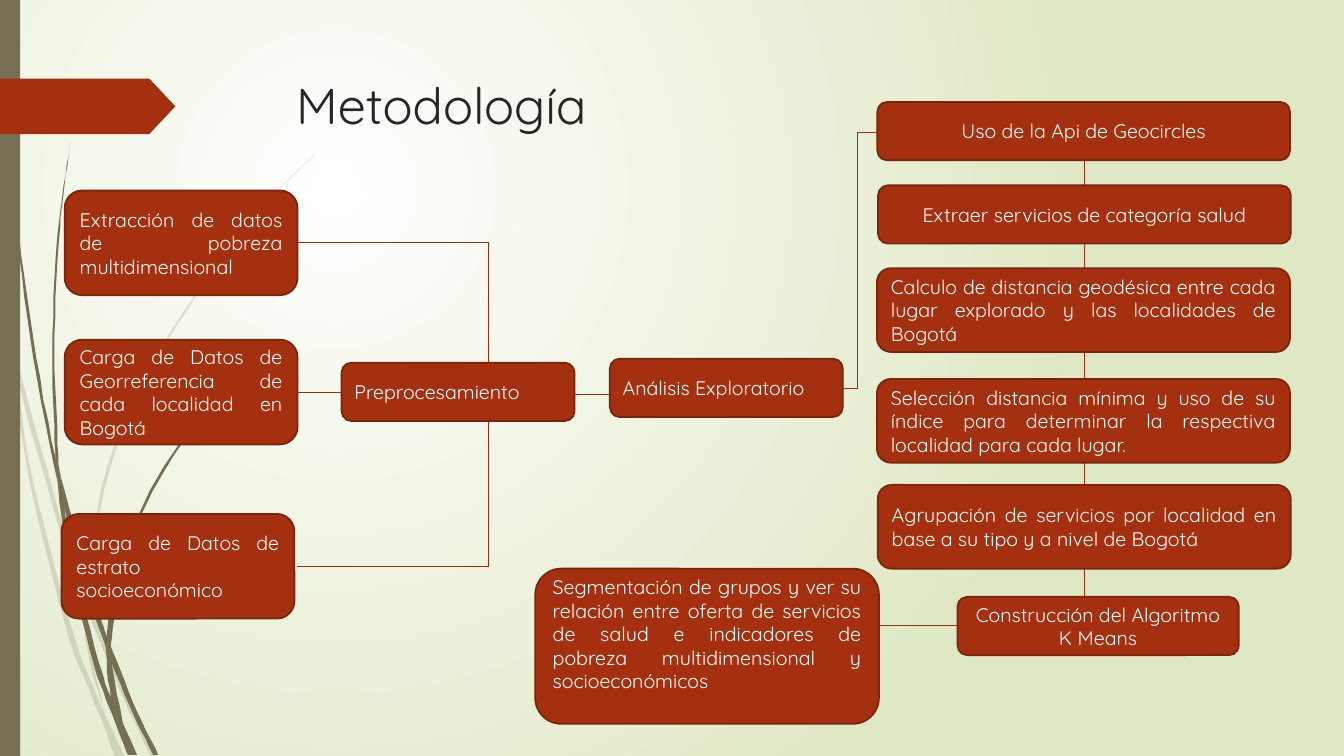
from dataclasses import dataclass
from itertools import pairwise

from lxml import etree
from pptx import Presentation
from pptx.dml.color import RGBColor
from pptx.enum import shapes, text
from pptx.oxml import ns
from pptx.util import Cm, Pt


@dataclass(frozen=True)
class Theme:
    font: str = "Quicksand"
    title_size: int = 36
    box_size: int = 14
    title: str = "262626"
    box_text: str = "FFFFFF"
    box: str = "A53010"
    box_edge: str = "7A240C"
    link: str = "9E2E0F"
    grass: str = "766F54"
    glow: str = "FFFFFF"
    ground: str = "DFE8C4"


THEME = Theme()
JUSTIFY, CENTER = text.PP_ALIGN.JUSTIFY, text.PP_ALIGN.CENTER

# Grass blades: both edges, from tip to root, in hundredths of an inch
PALE_BLADES = [
    ([(0, 299), (17, 376), (58, 522), (84, 599), (88, 610), (123, 694), (150, 751)],
     [(0, 282), (14, 345), (62, 520), (85, 586), (92, 607), (127, 692), (155, 751)]),
    ([(11, 350), (28, 470), (65, 621), (92, 693), (101, 714), (114, 751)],
     [(17, 376), (31, 469), (70, 619), (93, 683), (105, 711), (124, 751)]),
    ([(312, 153), (268, 197), (228, 244), (158, 348), (107, 461), (85, 584), (87, 646), (105, 711)],
     [(312, 154), (268, 198), (229, 245), (160, 349), (110, 462), (88, 584), (91, 646), (105, 711)]),
]
DARK_BLADES = [
    ([(3, 0), (7, 110), (17, 233), (33, 355), (57, 477)],
     [(4, 0), (8, 109), (19, 232), (36, 355), (57, 465)]),
    ([(55, 449), (57, 477), (68, 557), (93, 659), (111, 708), (127, 749)],
     [(60, 472), (64, 505), (72, 556), (98, 657), (110, 691), (136, 749)]),
    ([(60, 472), (64, 505), (88, 592), (106, 645), (132, 708), (152, 749)],
     [(60, 472), (93, 590), (106, 631), (113, 649), (136, 706), (157, 749)]),
    ([(70, 141), (62, 193), (56, 245), (52, 349), (55, 449), (60, 472)],
     [(70, 141), (63, 193), (58, 245), (54, 349), (58, 453), (60, 472)]),
    ([(260, 344), (231, 373), (204, 405), (156, 474), (122, 551), (106, 631), (110, 691), (122, 719)],
     [(261, 344), (231, 374), (205, 406), (158, 476), (125, 552), (111, 633), (111, 656), (122, 719)]),
]

# Boxes: left, top, width, height in cm
SOURCES = [
    ("Extracción de datos de pobreza multidimensional", 1.63, 4.8),
    ("Carga de Datos de Georreferencia de cada localidad en Bogotá", 1.63, 8.56),
    ("Carga de Datos de estrato socioeconómico", 1.55, 12.95),
]
STEPS = [
    ("Uso de la Api de Geocircles", (22.11, 2.57, 10.4, 1.47), CENTER),
    ("Extraer servicios de categoría salud", (22.13, 4.67, 10.4, 1.47), CENTER),
    ("Calculo de distancia geodésica entre cada lugar explorado y las localidades de Bogotá",
     (22.1, 6.76, 10.41, 2.11), JUSTIFY),
    ("Selección distancia mínima y uso de su índice para determinar la respectiva "
     "localidad para cada lugar.", (22.1, 9.55, 10.41, 2.11), JUSTIFY),
    ("Agrupación de servicios por localidad en base a su tipo y a nivel de Bogotá",
     (22.12, 12.22, 10.41, 2.11), JUSTIFY),
    ("Construcción del Algoritmo K Means", (24.13, 15.04, 7.09, 1.47), CENTER),
]


def rgb(code):
    return RGBColor.from_string(code)


def paint(shape, color, opacity=100):
    shape.shadow.inherit = False
    shape.fill.solid()
    shape.fill.fore_color.rgb = rgb(color)
    shape.line.fill.background()
    if opacity < 100:
        swatch = shape.element.spPr.find(".//" + ns.qn("a:srgbClr"))
        etree.SubElement(swatch, ns.qn("a:alpha"), val=str(opacity * 1000))


def write(frame, words, size, color, align):
    frame.word_wrap = True
    paragraph = frame.paragraphs[0]
    paragraph.alignment = align
    run = paragraph.add_run()
    run.text = words
    run.font.name = THEME.font
    run.font.size = Pt(size)
    run.font.color.rgb = rgb(color)


def add_background(slide):
    fill = slide.background.fill
    fill.gradient()
    for stop, color in zip(fill.gradient_stops, (THEME.glow, THEME.ground)):
        stop.color.rgb = rgb(color)
    linear = slide.element.find(".//" + ns.qn("a:lin"))
    radial = etree.Element(ns.qn("a:path"), {"path": "circle"})
    etree.SubElement(radial, ns.qn("a:fillToRect"),
                     l="50000", t="50000", r="100000", b="100000")
    linear.getparent().replace(linear, radial)


def smooth_edge(points, steps=6):
    """Catmull-Rom curve through the points."""
    padded = [points[0], *points, points[-1]]
    curve = [points[0]]
    for a, b, c, d in zip(padded, padded[1:], padded[2:], padded[3:]):
        for step in range(1, steps + 1):
            t = step / steps
            curve.append(tuple(
                (2 * q + (r - p) * t + (2 * p - 5 * q + 4 * r - s) * t ** 2
                 + (3 * q - p - 3 * r + s) * t ** 3) / 2
                for p, q, r, s in zip(a, b, c, d)))
    return curve


def add_blade(slide, edges, opacity):
    near, far = map(smooth_edge, edges)
    outline = near + far[::-1]
    builder = slide.shapes.build_freeform(*outline[0], scale=Cm(2.54) / 100)
    builder.add_line_segments(outline[1:], close=True)
    paint(builder.convert_to_shape(), THEME.grass, opacity)


def add_block(slide, preset, color, *place):
    block = slide.shapes.add_shape(preset, *map(Cm, place))
    paint(block, color)
    return block


def add_box(slide, words, place, align=JUSTIFY):
    box = add_block(slide, shapes.MSO_SHAPE.ROUNDED_RECTANGLE, THEME.box, *place)
    box.line.color.rgb = rgb(THEME.box_edge)
    box.line.width = Pt(1.25)
    box.text_frame.vertical_anchor = text.MSO_ANCHOR.MIDDLE
    write(box.text_frame, words, THEME.box_size, THEME.box_text, align)
    return box


def add_link(slide, *corners):
    for start, end in pairwise(corners):
        link = slide.shapes.add_connector(shapes.MSO_CONNECTOR.STRAIGHT,
                                          *map(Cm, start + end))
        link.line.color.rgb = rgb(THEME.link)
        link.line.width = Pt(0.75)
        etree.SubElement(link.element.spPr, ns.qn("a:effectLst"))


def add_title(slide, words):
    title = slide.shapes.title
    title.left, title.top, title.width, title.height = map(Cm, (7.21, 1.73, 24.77, 2.36))
    title.text_frame.vertical_anchor = text.MSO_ANCHOR.TOP
    write(title.text_frame, words, THEME.title_size, THEME.title, text.PP_ALIGN.LEFT)


def main():
    deck = Presentation()
    deck.slide_width, deck.slide_height = Cm(33.87), Cm(19.05)
    slide = deck.slides.add_slide(deck.slide_layouts[5])

    # Backdrop
    add_background(slide)
    for blades, opacity in ((PALE_BLADES, 20), (DARK_BLADES, 100)):
        for edges in blades:
            add_blade(slide, edges, opacity)
    add_block(slide, shapes.MSO_SHAPE.RECTANGLE, THEME.grass, 0, 0, 0.51, 19.05)
    ribbon = add_block(slide, shapes.MSO_SHAPE.PENTAGON, THEME.box, 0, 1.98, 4.42, 1.4)
    ribbon.adjustments[0] = 0.47
    add_title(slide, "Metodología")

    # Links from the sources through to the first step
    add_link(slide, (7.49, 6.12), (12.32, 6.12), (12.32, 9.14))
    add_link(slide, (7.42, 9.88), (8.61, 9.88))
    add_link(slide, (7.49, 14.27), (12.32, 14.27), (12.32, 10.61))
    add_link(slide, (14.48, 9.93), (15.37, 9.93))
    add_link(slide, (21.24, 9.78), (21.62, 9.78), (21.62, 3.33), (22.11, 3.33))

    # Links down the steps and on to the result
    for (_, upper, _), (_, lower, _) in pairwise(STEPS):
        add_link(slide, (27.33, upper[1] + upper[3]), (27.33, lower[1]))
    add_link(slide, (24.13, 15.77), (22.15, 15.77))

    # Boxes
    for words, left, top in SOURCES:
        add_box(slide, words, (left, top, 5.87, 2.64))
    add_box(slide, "Preprocesamiento", (8.61, 9.14, 5.87, 1.47))
    add_box(slide, "Análisis Exploratorio", (15.37, 9.04, 5.87, 1.47))
    for words, place, align in STEPS:
        add_box(slide, words, place, align)
    result = add_box(
        slide, "Segmentación de grupos y ver su relación entre oferta de servicios de salud "
        "e indicadores de pobreza multidimensional y socioeconómicos", (13.49, 14.33, 8.66, 3.91))
    result.text_frame.margin_bottom = Cm(0.75)

    deck.save("out.pptx")


if __name__ == "__main__":
    main()
